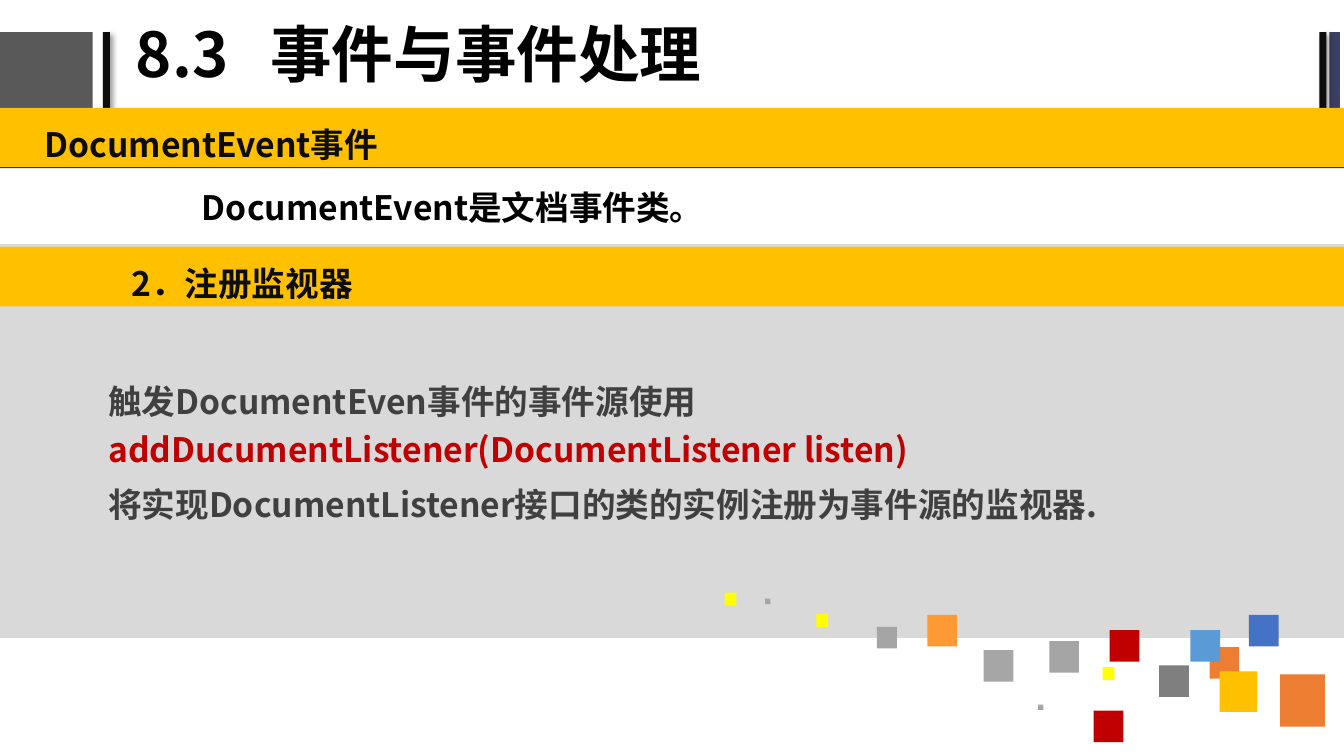
import lxml.etree
import pptx
import pptx.dml.color
import pptx.enum.shapes
import pptx.enum.text
import pptx.oxml.ns
import pptx.util

WIDTH, HEIGHT = 960, 540
THEME = {
    "font": "Noto Sans CJK SC",
    "title": 44, "body": 24,
    "black": "000000", "ink": "0D0D0D", "text": "404040",
    "slate": "595959", "indigo": "3B3F60", "navy": "002060",
    "panel": "D9D9D9", "gold": "FFC000", "red": "C00000",
    "orange": "ED7D31", "amber": "FF9933", "yellow": "FFFF00",
    "sky": "5B9BD5", "blue": "4472C4",
    "silver": "A5A5A5", "light": "A6A6A6", "gray": "7F7F7F",
}

HEADER_TOP, HEADER_HEIGHT = 23, 54.5
HEADER_BARS = [
    (-1.5, 67.7, "slate", False),
    (73.5, 5, "ink", True),
    (949.5, 7.5, "indigo", False),
    (942.5, 5, "ink", True),
]
BANDS = [
    ((0, 116.6, WIDTH, 3.6), "navy"),
    ((-3, 77, 965, 42.5), "gold"),
    ((0, 174.2, WIDTH, 281.5), "panel"),
    ((0, 176.4, WIDTH, 42.5), "gold"),
]
TITLE = [[("8.3\t事件与事件处理", "black")]]
HEADING = [[("DocumentEvent事件", "ink")]]
SENTENCE = [[("DocumentEvent是文档事件类。", "black")]]
SUBHEADING = [[("2．注册监视器", "ink")]]
EXPLANATION = [
    [("触发DocumentEven事件的事件源使用", "text"),
     ("addDucumentListener(DocumentListener listen)", "red")],
    [("将实现DocumentListener接口的类的实例注册为事件源的监视器.", "text")],
]
SQUARE_SIZES = {
    "dot": (3.8, 3.8), "small": (8.4, 9.3), "medium": (14.2, 15.3),
    "normal": (21.2, 22.6), "large": (26.8, 29), "huge": (31.9, 37.3),
}
SQUARES = [
    (914.4, 481.7, "huge", "orange"),
    (864, 462.2, "normal", "orange"),
    (871.2, 479.5, "large", "gold"),
    (850.3, 450, "normal", "sky"),
    (741.6, 503.3, "dot", "silver"),
    (892.1, 439.2, "normal", "blue"),
    (787.7, 476.6, "small", "yellow"),
    (749.5, 457.9, "normal", "silver"),
    (792.7, 450, "normal", "red"),
    (828, 475.2, "normal", "gray"),
    (781.2, 507.6, "normal", "red"),
    (546.5, 427.7, "dot", "silver"),
    (583.2, 438.5, "small", "yellow"),
    (626.4, 447.8, "medium", "silver"),
    (662.4, 439.2, "normal", "amber"),
    (702.7, 464.4, "normal", "light"),
    (517.7, 423.4, "small", "yellow"),
]


def points(values):
    return [pptx.util.Pt(v) for v in values]


def color(name):
    return pptx.dml.color.RGBColor.from_string(THEME[name])


def add_xml(parent, tag, **attributes):
    node = lxml.etree.SubElement(parent, pptx.oxml.ns.qn(tag))
    for key, value in attributes.items():
        node.set(key, str(value))
    return node


def add_shadow(sp):
    effects = sp._element.spPr.find(pptx.oxml.ns.qn("a:effectLst"))
    shadow = add_xml(effects, "a:outerShdw", blurRad=pptx.util.Pt(4),
                     dist=pptx.util.Pt(3), dir=45 * 60000, algn="tl", rotWithShape=0)
    add_xml(add_xml(shadow, "a:srgbClr", val=THEME["black"]), "a:alpha", val=40000)


def add_rect(s, box, fill, shadow=False):
    sp = s.shapes.add_shape(pptx.enum.shapes.MSO_SHAPE.RECTANGLE, *points(box))
    sp.shadow.inherit = False
    sp.fill.solid()
    sp.fill.fore_color.rgb = color(fill)
    sp.line.fill.background()
    if shadow:
        add_shadow(sp)


def add_text(s, box, paragraphs, size="body", spacing=1.2, before=4.8,
             inset=(9.6, 4.8), indent=0, tab=None, middle=False):
    tf = s.shapes.add_textbox(*points(box)).text_frame
    tf.word_wrap = True
    tf.margin_left = tf.margin_right = pptx.util.Pt(inset[0])
    tf.margin_top = tf.margin_bottom = pptx.util.Pt(inset[1])
    anchors = pptx.enum.text.MSO_ANCHOR
    tf.vertical_anchor = anchors.MIDDLE if middle else anchors.TOP
    for i, runs in enumerate(paragraphs):
        p = tf.add_paragraph() if i else tf.paragraphs[0]
        p.line_spacing = spacing
        p.space_before = pptx.util.Pt(before)
        pPr = p._p.get_or_add_pPr()
        if indent:
            pPr.set("indent", str(pptx.util.Pt(indent)))
        if tab:
            add_xml(add_xml(pPr, "a:tabLst"), "a:tab", pos=pptx.util.Pt(tab), algn="l")
        for text, fill in runs:
            r = p.add_run()
            r.text = text
            r.font.name = THEME["font"]
            r.font.size = pptx.util.Pt(THEME[size])
            r.font.bold = True
            r.font.color.rgb = color(fill)
            add_xml(r._r.get_or_add_rPr(), "a:ea", typeface=THEME["font"])


def main():
    prs = pptx.Presentation()
    prs.slide_width, prs.slide_height = points((WIDTH, HEIGHT))
    s = prs.slides.add_slide(prs.slide_layouts[6])
    for left, width, fill, shadow in HEADER_BARS:
        add_rect(s, (left, HEADER_TOP, width, HEADER_HEIGHT), fill, shadow)
    for box, fill in BANDS:
        add_rect(s, box, fill)
    add_text(s, (90, 1.4, 610, 79.2), TITLE, size="title", spacing=0.9, before=0,
             inset=(7.2, 3.6), tab=96, middle=True)
    add_text(s, (22.3, 77.8, 940, 41.8), HEADING)
    add_text(s, (77.8, 120.2, 815.8, 51.1), SENTENCE, spacing=1.3, indent=56.9)
    add_text(s, (84.2, 177.1, 733.7, 41.8), SUBHEADING)
    add_text(s, (67.7, 261.4, 817.2, 180), EXPLANATION)
    for left, top, size, fill in SQUARES:
        add_rect(s, (left, top, *SQUARE_SIZES[size]), fill)
    prs.save("out.pptx")


if __name__ == "__main__":
    main()
